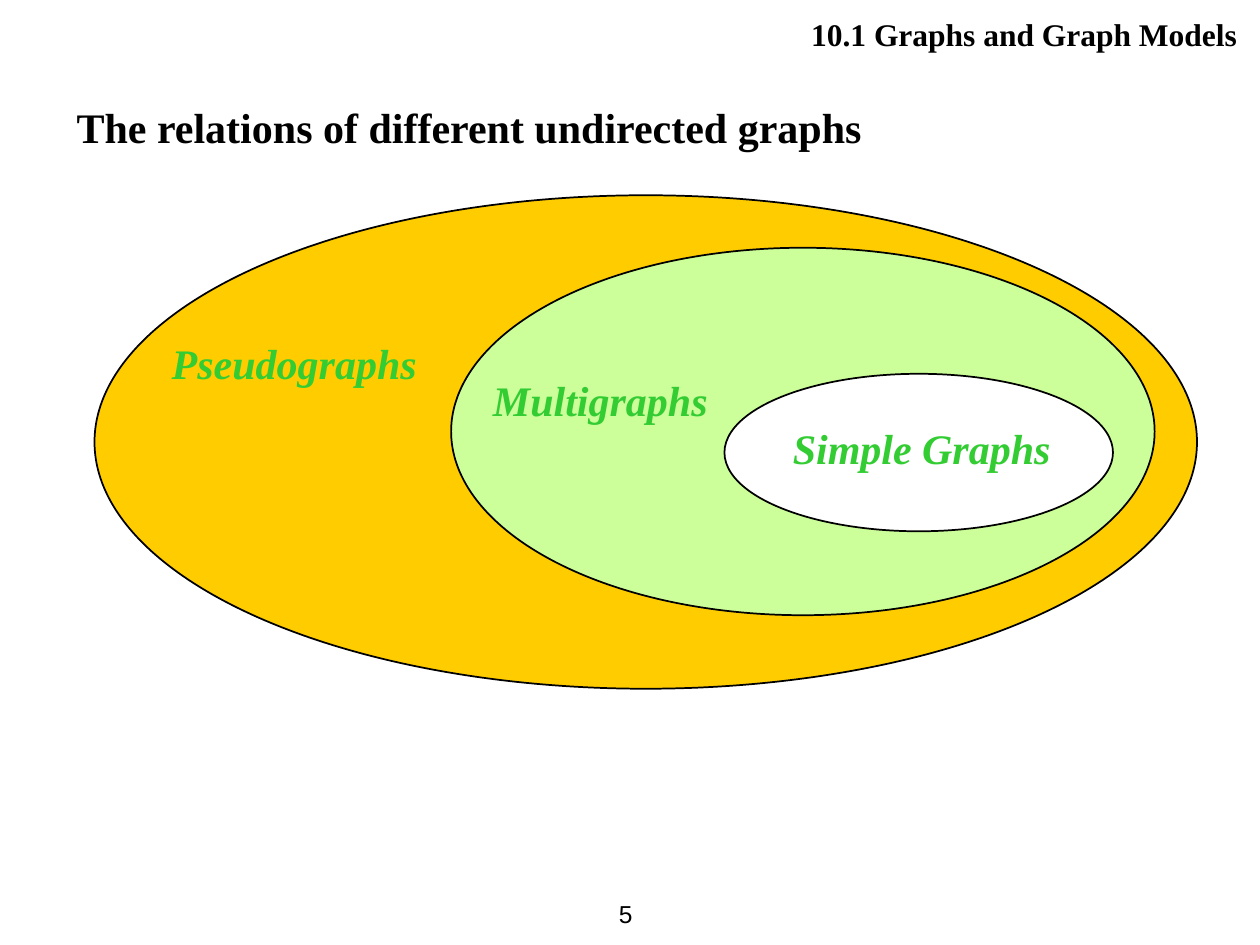
import pptx
import pptx.util
import pptx.dml.color
import pptx.enum.shapes
import pptx.enum.text

Pt = pptx.util.Pt
RGB = pptx.dml.color.RGBColor.from_string
Align = pptx.enum.text.PP_ALIGN
Anchor = pptx.enum.text.MSO_ANCHOR

theme = {
    "serif": "Times New Roman", "sans": "Arial",
    "ink": "000000", "label": "33CC33",
    "outer": "FFCC00", "middle": "CCFF99", "inner": "FFFFFF",
    "title": 24, "header": 18, "number": 14,
}


def add_text(shapes, text, box, size, color="ink", face="serif", bold=True,
             italic=False, align=Align.LEFT, anchor=Anchor.TOP, wrap=True):
    label = shapes.add_textbox(*[Pt(v) for v in box])
    frame = label.text_frame
    frame.word_wrap = wrap
    frame.vertical_anchor = anchor
    para = frame.paragraphs[0]
    para.text = text
    para.alignment = align
    font = para.font
    font.name = theme[face]
    font.size = Pt(theme[size])
    font.bold = bold
    font.italic = italic
    font.color.rgb = RGB(theme[color])
    return frame


deck = pptx.Presentation()
deck.slide_width, deck.slide_height = Pt(720), Pt(540)
slide = deck.slides.add_slide(deck.slide_layouts[6])

# Page number
add_text(slide.shapes, "5", (320.4, 504, 48.2, 36), "number", face="sans",
         bold=False, align=Align.RIGHT, anchor=Anchor.MIDDLE)

# Title
add_text(slide.shapes, "The relations of different undirected graphs",
         (36.7, 54.7, 600, 36), "title")

# Nested sets, from the widest to the narrowest
sets = [
    ("Pseudographs", "outer", (54, 111.6, 630, 282), (90.7, 189.4, 154.8, 36)),
    ("Multigraphs", "middle", (257.8, 141.6, 402, 210), (274.3, 210.2, 137.5, 36)),
    ("Simple Graphs", "inner", (414, 213.6, 222, 90), (445, 238, 163.4, 36)),
]
for name, fill, oval, box in sets:
    group = slide.shapes.add_group_shape()
    ring = group.shapes.add_shape(pptx.enum.shapes.MSO_SHAPE.OVAL,
                                  *[Pt(v) for v in oval])
    ring.shadow.inherit = False
    ring.fill.solid()
    ring.fill.fore_color.rgb = RGB(theme[fill])
    ring.line.color.rgb = RGB(theme["ink"])
    ring.line.width = Pt(1)
    add_text(group.shapes, name, box, "title", color="label", italic=True,
             align=Align.CENTER, anchor=Anchor.MIDDLE, wrap=False)

# Section header
head = add_text(slide.shapes, "10.1 Graphs and Graph Models",
                (411, -2, 309, 36), "header", align=Align.RIGHT,
                anchor=Anchor.BOTTOM)
head.margin_right = Pt(13)

deck.save("out.pptx")
